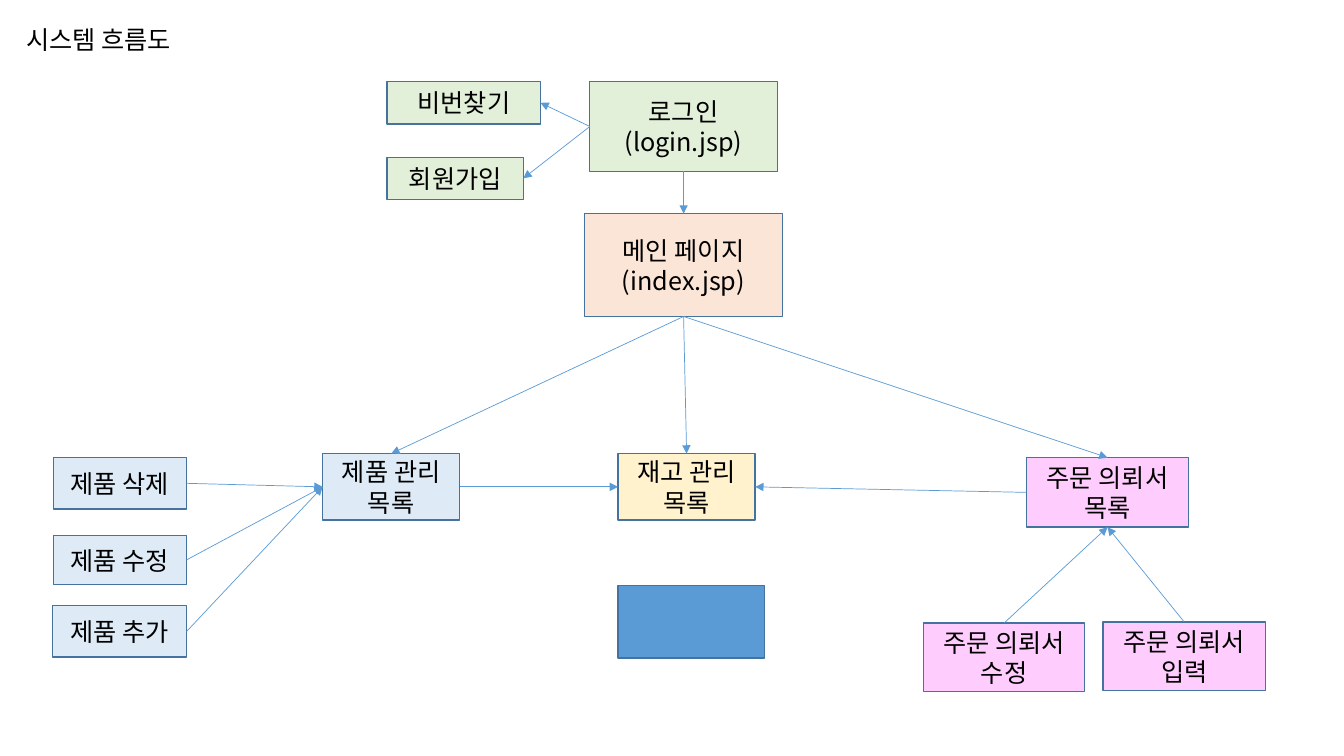
"""Draw the system flow chart of a stock management site."""
from dataclasses import dataclass

from lxml.etree import SubElement
from pptx import Presentation
from pptx.dml.color import RGBColor
from pptx.enum.shapes import MSO_CONNECTOR, MSO_SHAPE
from pptx.enum.text import MSO_ANCHOR, MSO_AUTO_SIZE, PP_ALIGN
from pptx.oxml.ns import qn
from pptx.shapes.autoshape import Shape
from pptx.slide import Slide
from pptx.text.text import TextFrame
from pptx.util import Emu, Pt

FONT = "Noto Sans CJK KR"
GREEN, PEACH, PINK = "E2F0D9", "FBE5D6", "FFCDFD"
YELLOW, PALE_BLUE, BLUE = "FFF2CC", "DEEBF7", "5B9BD5"
BORDER, BLACK = "43739E", "000000"
TOP, LEFT, BOTTOM, RIGHT = range(4)


@dataclass(frozen=True)
class Box:
    """A flow chart step, placed in px."""
    key: str
    text: str
    left: int
    top: int
    width: int
    height: int
    fill: str


@dataclass(frozen=True)
class Arrow:
    """An arrow from a side of one step to a side of another."""
    start: str
    start_side: int
    end: str
    end_side: int


BOXES = [
    Box("login", "로그인\n(login.jsp)", 585, 81, 186, 89, GREEN),
    Box("main", "메인 페이지\n(index.jsp)", 580, 212, 196, 102, PEACH),
    Box("orders", "주문 의뢰서\n목록", 1018, 454, 161, 69, PINK),
    Box("order_add", "주문 의뢰서\n입력", 1094, 617, 161, 68, PINK),
    Box("order_edit", "주문 의뢰서\n수정", 916, 618, 160, 68, PINK),
    Box("sign_up", "회원가입", 384, 156, 135, 42, GREEN),
    Box("find_password", "비번찾기", 384, 81, 152, 42, GREEN),
    Box("stock", "재고 관리\n목록", 613, 450, 136, 66, YELLOW),
    Box("products", "제품 관리\n목록", 320, 450, 136, 66, PALE_BLUE),
    Box("product_add", "제품 추가", 52, 601, 133, 51, PALE_BLUE),
    Box("product_edit", "제품 수정", 53, 531, 132, 49, PALE_BLUE),
    Box("product_delete", "제품 삭제", 53, 454, 132, 51, PALE_BLUE),
    Box("empty", "", 613, 581, 145, 72, BLUE),
]

ARROWS = [
    Arrow("login", BOTTOM, "main", TOP),
    Arrow("login", LEFT, "find_password", RIGHT),
    Arrow("login", LEFT, "sign_up", RIGHT),
    Arrow("main", BOTTOM, "products", TOP),
    Arrow("main", BOTTOM, "stock", TOP),
    Arrow("main", BOTTOM, "orders", TOP),
    Arrow("product_delete", RIGHT, "products", LEFT),
    Arrow("product_edit", RIGHT, "products", LEFT),
    Arrow("product_add", RIGHT, "products", LEFT),
    Arrow("products", RIGHT, "stock", LEFT),
    Arrow("orders", LEFT, "stock", RIGHT),
    Arrow("order_edit", TOP, "orders", BOTTOM),
    Arrow("order_add", TOP, "orders", BOTTOM),
]


def px(n: int) -> Emu:
    """Turn px, 100 to the inch, into EMU."""
    return Emu(n * 9144)


def rgb(color: str) -> RGBColor:
    """Turn a hex string into a colour."""
    return RGBColor.from_string(color)


def write(tf: TextFrame, text: str, align: PP_ALIGN) -> None:
    """Fill a text frame, one paragraph a line."""
    tf.text = text
    for p in tf.paragraphs:
        p.alignment = align
        p.font.size = Pt(18)
        p.font.color.rgb = rgb(BLACK)
        p.font.name = FONT
        SubElement(p.font._element, qn("a:ea"), typeface=FONT)


def add_box(s: Slide, box: Box) -> Shape:
    """Draw one step."""
    sp = s.shapes.add_shape(MSO_SHAPE.RECTANGLE, px(box.left), px(box.top),
                            px(box.width), px(box.height))
    sp.shadow.inherit = False
    sp.fill.solid()
    sp.fill.fore_color.rgb = rgb(box.fill)
    sp.line.color.rgb = rgb(BORDER)
    sp.line.width = Pt(1)
    if box.text:
        sp.text_frame.vertical_anchor = MSO_ANCHOR.MIDDLE
        write(sp.text_frame, box.text, PP_ALIGN.CENTER)
    return sp


def add_arrow(s: Slide, arrow: Arrow, steps: dict[str, Shape]) -> None:
    """Draw one arrow glued to its two steps."""
    cxn = s.shapes.add_connector(MSO_CONNECTOR.STRAIGHT, 0, 0, 0, 0)
    cxn.begin_connect(steps[arrow.start], arrow.start_side)
    cxn.end_connect(steps[arrow.end], arrow.end_side)
    cxn.line.color.rgb = rgb(BLUE)
    cxn.line.width = Pt(0.5)
    SubElement(cxn.line._get_or_add_ln(), qn("a:tailEnd"), type="triangle")
    SubElement(cxn._element.spPr, qn("a:effectLst"))


def add_title(s: Slide, text: str) -> None:
    """Draw the title at the top left."""
    tf = s.shapes.add_textbox(px(16), px(19), px(181), px(40)).text_frame
    tf.word_wrap = False
    tf.auto_size = MSO_AUTO_SIZE.SHAPE_TO_FIT_TEXT
    write(tf, text, PP_ALIGN.LEFT)


def main() -> None:
    """Build and save the slide."""
    prs = Presentation()
    prs.slide_width, prs.slide_height = px(1333), px(750)
    s = prs.slides.add_slide(prs.slide_layouts[6])
    add_title(s, "시스템 흐름도")
    steps = {box.key: add_box(s, box) for box in BOXES}
    for arrow in ARROWS:
        add_arrow(s, arrow, steps)
    prs.save("out.pptx")


if __name__ == "__main__":
    main()
